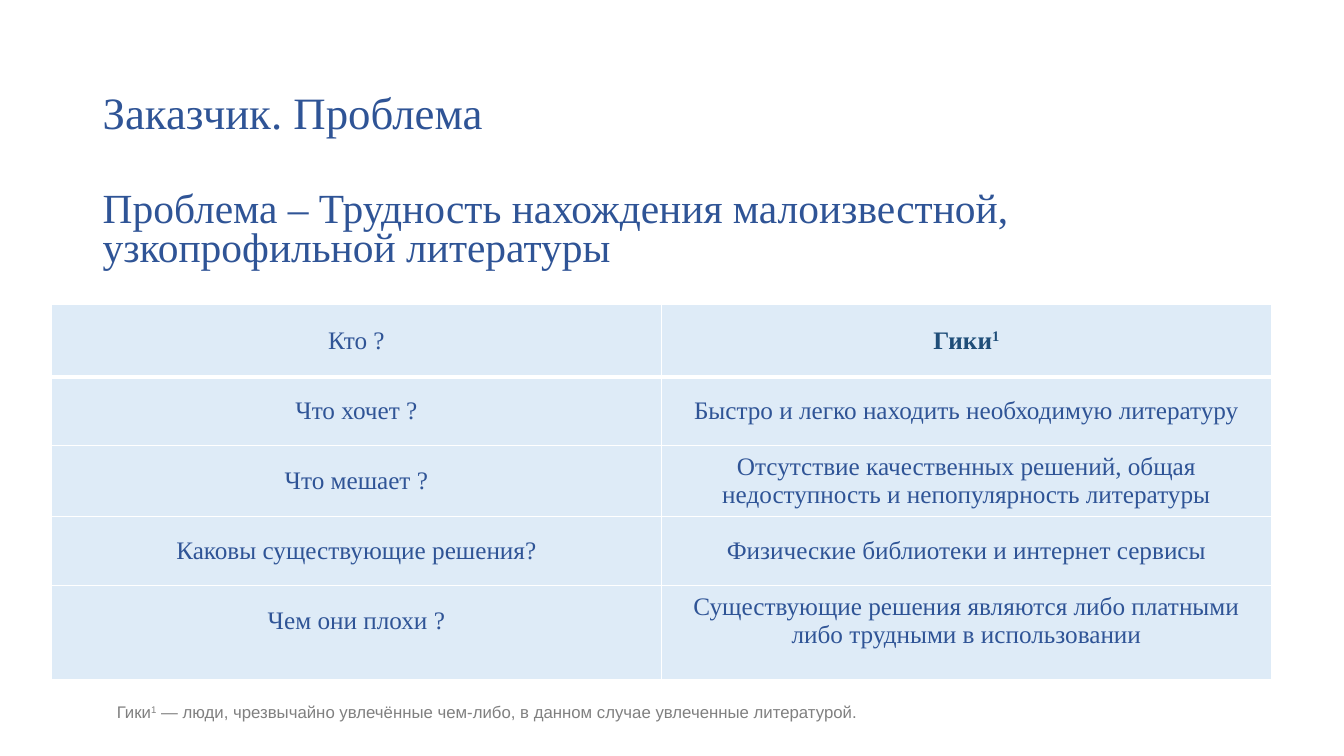
from dataclasses import dataclass

from lxml.etree import SubElement
from pptx import Presentation
from pptx.dml.color import RGBColor as Rgb
from pptx.enum.text import MSO_ANCHOR as Anchor, PP_ALIGN as Align
from pptx.oxml.ns import qn
from pptx.util import Inches, Pt

BLUE, NAVY, PALE, GREY, WHITE = "2F5496", "1F4E79", "DEEBF7", "808080", "FFFFFF"
SERIF = "Times New Roman"


@dataclass
class Style:
    size: float
    color: str = BLUE
    name: str = SERIF
    bold: bool = False


@dataclass
class Run:
    text: str
    sup: bool = False


@dataclass
class Box:
    place: tuple[float, float, float, float]
    runs: list[Run]
    style: Style
    spacing: float = 1.0
    anchor: Anchor = Anchor.TOP
    wrap: bool = True


@dataclass
class Row:
    height: float
    label: str
    answer: list[Run]
    style: Style
    bottom: float = 0.05


def paint(target, color: str) -> None:
    target.rgb = Rgb.from_string(color)


def write(para, runs: list[Run], style: Style) -> None:
    for part in runs:
        run = para.add_run()
        run.text = part.text
        values = {"size": Pt(style.size), "name": style.name, "bold": style.bold}
        for key, value in values.items():
            setattr(run.font, key, value)
        paint(run.font.color, style.color)
        if part.sup:
            run._r.get_or_add_rPr().set("baseline", "30000")


def add_box(slide, box: Box) -> None:
    frame = slide.shapes.add_textbox(*map(Inches, box.place)).text_frame
    frame.word_wrap = box.wrap
    frame.vertical_anchor = box.anchor
    para = frame.paragraphs[0]
    para.line_spacing = box.spacing
    write(para, box.runs, box.style)


def edge(cell, widths: dict[str, float]) -> None:
    """Draw white borders, with widths in points by side."""
    props = cell._tc.get_or_add_tcPr()
    for side, width in widths.items():
        line = SubElement(props, qn(f"a:ln{side}"), w=str(Pt(width)))
        fill = SubElement(line, qn("a:solidFill"))
        SubElement(fill, qn("a:srgbClr"), val=WHITE)


def add_grid(slide, rows: list[Row]) -> None:
    total = sum(row.height for row in rows)
    place = map(Inches, (0.51, 3.02, 12.1, total))
    table = slide.shapes.add_table(len(rows), 2, *place).table
    for i, row in enumerate(rows):
        table.rows[i].height = Inches(row.height)
        pairs = [([Run(row.label)], Style(18)), (row.answer, row.style)]
        for cell, (runs, style) in zip(table.rows[i].cells, pairs):
            top, low = (3 if i == 1 else 1), (3 if i == 0 else 1)
            edge(cell, {"L": 1, "R": 1, "T": top, "B": low})
            cell.fill.solid()
            paint(cell.fill.fore_color, PALE)
            cell.vertical_anchor = Anchor.MIDDLE
            cell.margin_bottom = Inches(row.bottom)
            para = cell.text_frame.paragraphs[0]
            para.alignment = Align.CENTER
            write(para, runs, style)


GEEKS = [Run("Гики"), Run("1", sup=True)]
PLAIN = Style(18)

BOXES = [
    Box((0.92, 0.42, 11.5, 1.45), [Run("Заказчик. Проблема")], Style(32),
        0.9, Anchor.MIDDLE),
    Box((0.92, 1.85, 11.5, 1.17),
        [Run("Проблема – Трудность нахождения малоизвестной, "
             "узкопрофильной литературы")], Style(29.6), 0.8),
    Box((1.06, 6.91, 7.72, 0.3),
        GEEKS + [Run(" — люди, чрезвычайно увлечённые чем-либо, "
                     "в данном случае увлеченные литературой.")],
        Style(12, GREY, "Arial"), wrap=False),
]

ROWS = [
    Row(0.72, "Кто ?", GEEKS, Style(18, NAVY, bold=True)),
    Row(0.68, "Что хочет ?",
        [Run("Быстро и легко находить необходимую литературу")], PLAIN),
    Row(0.66, "Что мешает ?",
        [Run("Отсутствие качественных решений, общая недоступность "
             "и непопулярность литературы")], PLAIN),
    Row(0.69, "Каковы существующие решения?",
        [Run("Физические библиотеки и интернет сервисы")], PLAIN),
    Row(0.89, "Чем они плохи ?",
        [Run("Существующие решения являются либо платными "
             "либо трудными в использовании")], PLAIN, 0.28),
]


def main() -> None:
    deck = Presentation()
    deck.slide_width, deck.slide_height = Inches(13.33), Inches(7.5)
    slide = deck.slides.add_slide(deck.slide_layouts[6])
    for box in BOXES:
        add_box(slide, box)
    add_grid(slide, ROWS)
    deck.save("out.pptx")


if __name__ == "__main__":
    main()
